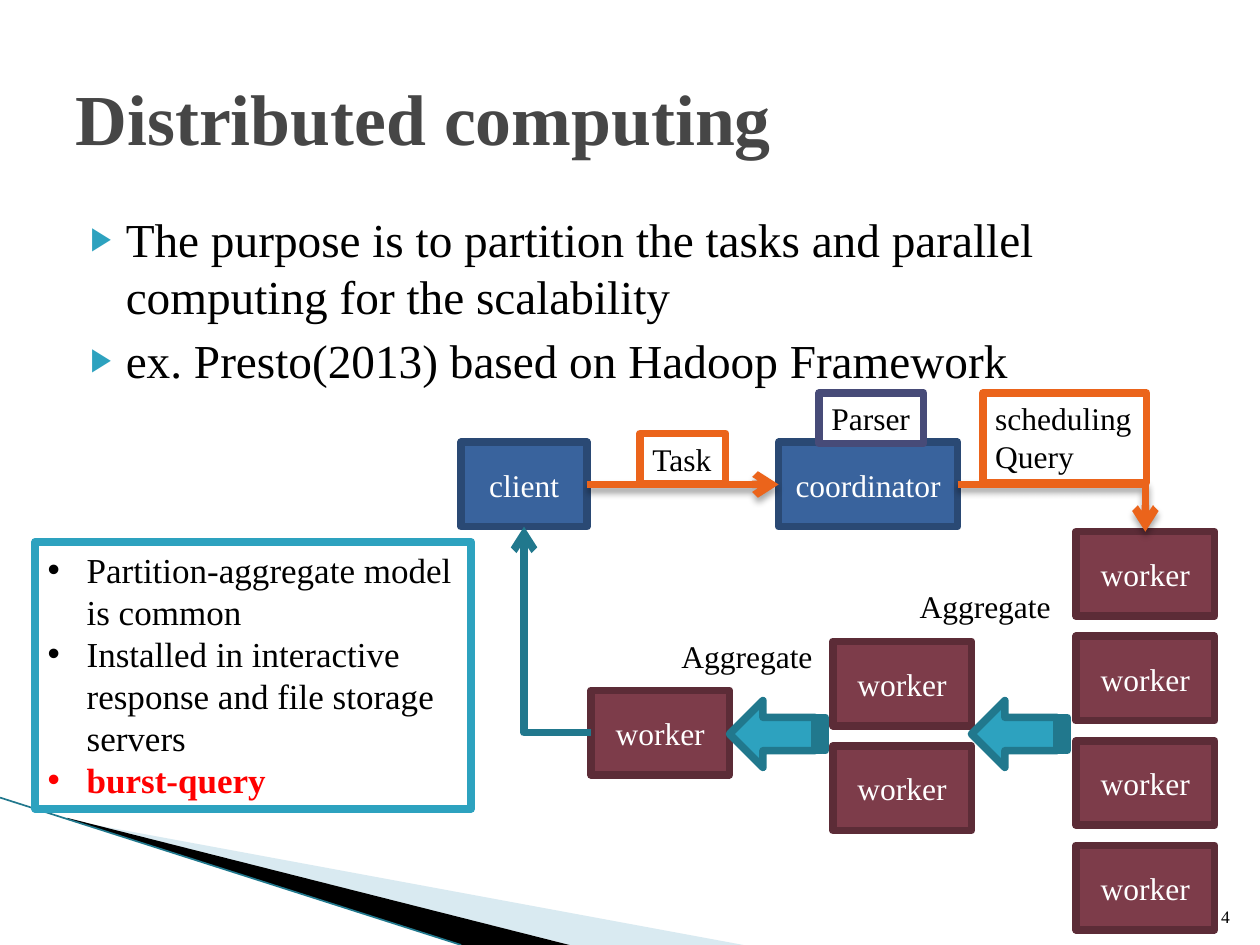
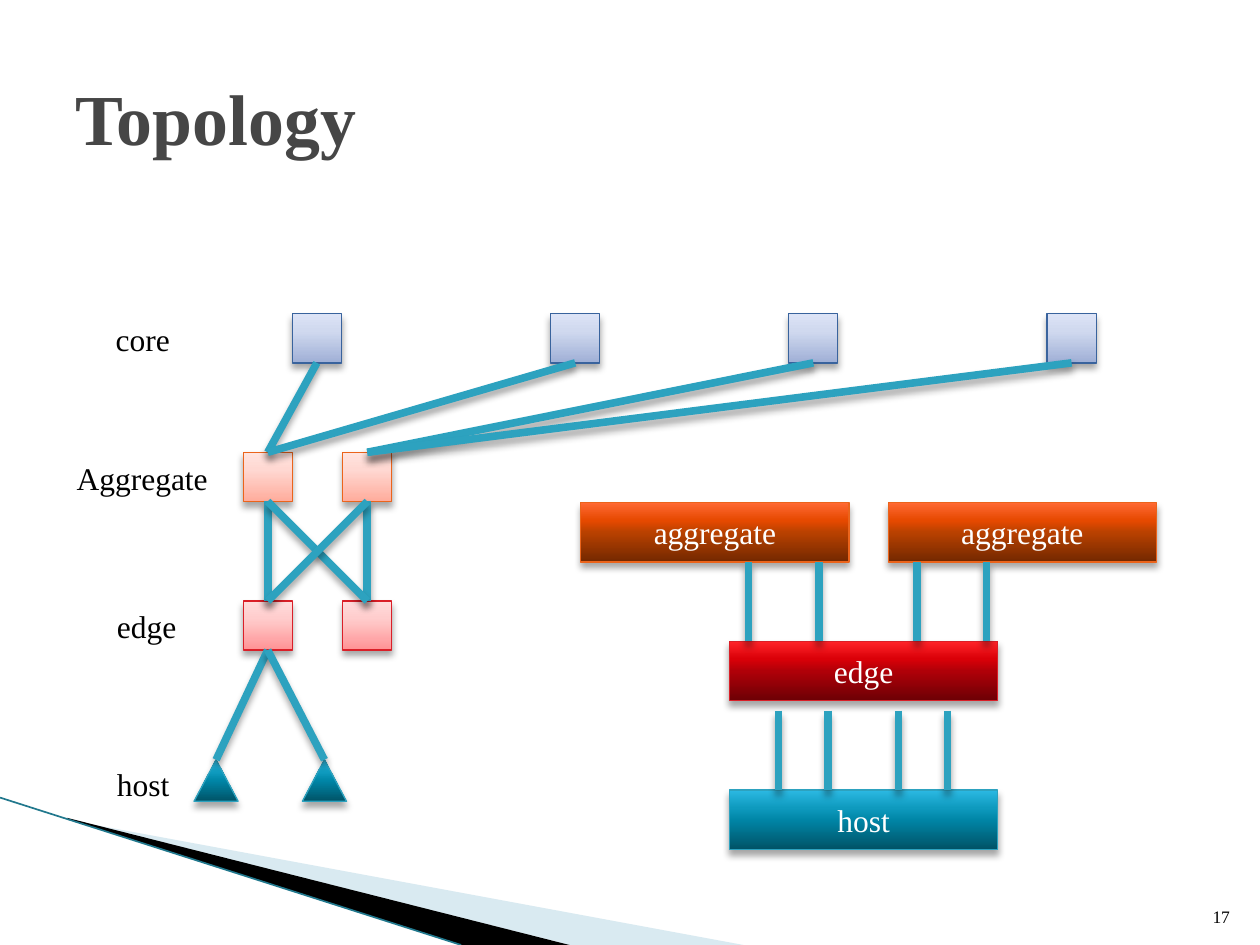
"""Build two slides: a distributed computing flow and a network topology."""
from lxml import etree
from pptx import Presentation
from pptx import util as u
from pptx.dml.color import RGBColor
from pptx.enum import shapes, text
from pptx.oxml.ns import qn

WIDTH, HEIGHT = 10, 7.5
FONT = "Times New Roman"
BLACK, WHITE, GREY, RED = "000000", "FFFFFF", "464646", "FF0000"
TEAL, DARK_TEAL, ORANGE, CRIMSON = "2DA2BF", "21788D", "EB641B", "DA1F28"
BLUE, DARK_BLUE, PURPLE = "39639D", "2A4974", "474B78"
WINE, DARK_WINE = "7D3C4A", "5C2C37"
THICK, THIN = 4.33, 0.75

BANDS = [
    ([(0.55, 6.51), (5.9, HEIGHT), (4.52, HEIGHT), (0.55, 6.5)], "A0CBDC", 40),
    ([(0.53, 6.49), (4.52, HEIGHT), (3.66, HEIGHT), (0.54, 6.5)], BLACK, 100),
]
BAND_EDGE = (0, 6.33), (3.66, HEIGHT)

PURPOSE = [
    "The purpose is to partition the tasks and parallel computing for the scalability",
    "ex. Presto(2013) based on Hadoop Framework",
]
REMARKS = [
    "Partition-aggregate model is common",
    "Installed in interactive response and file storage servers",
    "burst-query",
]
NODES = {"client": (3.66, 3.51, 1, 0.67), "coordinator": (6.18, 3.51, 1.42, 0.67)}
WORKER_STAGES = [(8.54, 4.22, 4), (6.61, 5.09, 2), (4.69, 5.48, 1)]
WORKER_SIZE, WORKER_STEP = (1.1, 0.67), 0.83
STAGE_ARROWS = [7.71, 5.79]
LABELS = [
    (["Task"], (5.08, 3.44, 0.68, 0.4), ORANGE),
    (["scheduling", "Query"], (7.8, 3.12, 1.3, 0.71), ORANGE),
    (["Parser"], (6.5, 3.12, 0.83, 0.4), PURPLE),
    (["Aggregate"], (7.2, 4.61, 1.25, 0.4), None),
    (["Aggregate"], (5.31, 5.01, 1.25, 0.4), None),
]

HOST_FILL = [(0, "005367"), (50, "0086A7"), (70, "0E9ABE"), (100, "2CB9E3")]
EDGE_FILL = [(0, "6D0005"), (50, "B00008"), (70, "DA0008"), (100, "FF2429")]
AGGREGATE_FILL = [(0, "732800"), (50, "B94100"), (70, "E64900"), (100, "FF6933")]
PALE_BLUE = [(0, "9FAFD6"), (65, "D0D9EF"), (100, "DCE3F6")]
PALE_ORANGE = [(0, "FFAC9C"), (65, "FFD8D2"), (100, "FFE4DF")]
PALE_RED = [(0, "FF9294"), (65, "FFCDCD"), (100, "FFDCDC")]

SQUARE, TRIANGLE = (0.39, 0.39), (0.35, 0.33)
TIERS = {
    "core": ((0.82, 2.49, 0.64), 2.49, [2.32, 4.37, 6.26, 8.31], SQUARE, PALE_BLUE, BLUE),
    "Aggregate": ((0.51, 3.59, 1.25), 3.59, [1.93, 2.72], SQUARE, PALE_ORANGE, ORANGE),
    "edge": ((0.83, 4.77, 0.68), 4.77, [1.93, 2.72], SQUARE, PALE_RED, CRIMSON),
    "host": ((0.83, 6.02, 0.62), 6.03, [1.54, 2.4], TRIANGLE, HOST_FILL, TEAL),
}
TIER_LINKS = [
    ("core", "Aggregate", [(0, 0), (1, 0), (2, 1), (3, 1)]),
    ("Aggregate", "edge", [(0, 0), (1, 1), (0, 1), (1, 0)]),
    ("edge", "host", [(0, 0), (0, 1)]),
]
BARS = [
    ("aggregate", 4.61, 3.99, AGGREGATE_FILL, ORANGE),
    ("aggregate", 7.05, 3.99, AGGREGATE_FILL, ORANGE),
    ("edge", 5.79, 5.09, EDGE_FILL, CRIMSON),
    ("host", 5.79, 6.27, HOST_FILL, TEAL),
]
BAR_SIZE = (2.13, 0.47)
BAR_LINKS = [
    (4.46, 5.09, [5.94, 6.5, 7.28, 7.83]),
    (5.64, 6.27, [6.18, 6.57, 7.13, 7.52]),
]


def inches(values):
    return [u.Inches(value) for value in values]


def color(value):
    return RGBColor.from_string(value)


def add_element(parent, tag, **attributes):
    element = etree.SubElement(parent, qn(tag))
    for name, value in attributes.items():
        element.set(name, str(value))
    return element


def set_effects(shape, shadowed=False):
    effects = add_element(shape._element.spPr, "a:effectLst")
    if shadowed:
        shadow = add_element(effects, "a:outerShdw", blurRad=u.Pt(4), dist=u.Pt(3),
                             dir=5400000, algn="ctr", rotWithShape=0)
        add_element(add_element(shadow, "a:srgbClr", val=BLACK), "a:alpha", val=35000)


def set_line(shape, line, width):
    if line is None:
        shape.line.fill.background()
    else:
        shape.line.color.rgb = color(line)
        shape.line.width = u.Pt(width)


def set_gradient(shape, stops):
    shape.fill.gradient()
    gradient = shape._element.spPr.find(qn("a:gradFill"))
    for child in list(gradient):
        gradient.remove(child)
    stop_list = add_element(gradient, "a:gsLst")
    for position, value in stops:
        stop = add_element(stop_list, "a:gs", pos=position * 1000)
        add_element(stop, "a:srgbClr", val=value)
    add_element(gradient, "a:lin", ang=16200000, scaled=0)


def add_bullet(paragraph, mark, margin, indent, mark_color=None, percent=100):
    properties = paragraph._p.get_or_add_pPr()
    properties.set("marL", str(u.Inches(margin)))
    properties.set("indent", str(u.Inches(indent)))
    if mark_color:
        add_element(add_element(properties, "a:buClr"), "a:srgbClr", val=mark_color)
    add_element(properties, "a:buSzPct", val=percent * 1000)
    add_element(properties, "a:buFont", typeface="Arial")
    add_element(properties, "a:buChar", char=mark)


def write(shape, lines, size=18, font_color=BLACK, bold=False, align=text.PP_ALIGN.LEFT,
          anchor=text.MSO_ANCHOR.TOP, wrap=True, bullet=None, gap=0):
    frame = shape.text_frame
    frame.text = "\n".join(lines)
    frame.word_wrap = wrap
    frame.vertical_anchor = anchor
    for index, paragraph in enumerate(frame.paragraphs):
        if bullet:
            add_bullet(paragraph, *bullet)
        paragraph.alignment = align
        if index and gap:
            paragraph.space_before = u.Pt(gap)
        for run in paragraph.runs:
            run.font.name, run.font.size, run.font.bold = FONT, u.Pt(size), bold
            run.font.color.rgb = color(font_color)


def add_text(slide, at, lines, **style):
    write(slide.shapes.add_textbox(*inches(at)), lines, **style)


def add_box(slide, kind, at, fill, line, width=THICK, shadowed=False):
    shape = slide.shapes.add_shape(kind, *inches(at))
    if isinstance(fill, list):
        set_gradient(shape, fill)
    else:
        shape.fill.solid()
        shape.fill.fore_color.rgb = color(fill)
    set_line(shape, line, width)
    set_effects(shape, shadowed)
    return shape


def write_center(shape, caption):
    write(shape, [caption], font_color=WHITE, align=text.PP_ALIGN.CENTER,
          anchor=text.MSO_ANCHOR.MIDDLE)


def add_line(slide, start=(0, 0), end=(0, 0), line=TEAL, width=THICK, shadowed=True):
    connector = slide.shapes.add_connector(shapes.MSO_CONNECTOR.STRAIGHT, *inches(start + end))
    set_line(connector, line, width)
    set_effects(connector, shadowed)
    return connector


def link(slide, source, source_side, target, target_side, line=TEAL, shadowed=True,
         arrow=False, bent=False):
    connector = add_line(slide, line=line, shadowed=shadowed)
    connector.begin_connect(source, source_side)
    connector.end_connect(target, target_side)
    properties = connector._element.spPr
    if bent:
        properties.find(qn("a:prstGeom")).set("prst", "bentConnector2")
    if arrow:
        add_element(properties.find(qn("a:ln")), "a:tailEnd", type="arrow")


def add_slide(presentation, title, number):
    slide = presentation.slides.add_slide(presentation.slide_layouts[5])
    for points, fill, opacity in BANDS:
        corners = [inches(point) for point in points]
        builder = slide.shapes.build_freeform(*corners[0])
        builder.add_line_segments(corners[1:])
        band = builder.convert_to_shape()
        band.fill.solid()
        band.fill.fore_color.rgb = color(fill)
        add_element(band._element.spPr.find(".//" + qn("a:srgbClr")), "a:alpha",
                    val=opacity * 1000)
        set_line(band, None, 0)
        set_effects(band)
    add_line(slide, *BAND_EDGE, line=DARK_TEAL, width=0.95, shadowed=False)
    heading = slide.shapes.title
    heading.left, heading.top, heading.width, heading.height = inches((0.5, 0.3, 9, 1.25))
    write(heading, [title], size=41, font_color=GREY, bold=True, anchor=text.MSO_ANCHOR.MIDDLE)
    add_text(slide, (9.46, 7.01, 0.4, 0.4), [number], size=10,
             align=text.PP_ALIGN.RIGHT, anchor=text.MSO_ANCHOR.BOTTOM)
    return slide


def build_computing(presentation):
    slide = add_slide(presentation, "Distributed computing", "4")
    add_text(slide, (0.5, 1.62, 9, 1.66), PURPOSE, size=27, gap=4,
             bullet=("▶", 0.4, -0.28, TEAL, 68))
    process = shapes.MSO_SHAPE.FLOWCHART_PROCESS
    nodes = {}
    for name, at in NODES.items():
        nodes[name] = add_box(slide, process, at, BLUE, DARK_BLUE)
        write_center(nodes[name], name)
    stages = []
    for left, top, count in WORKER_STAGES:
        stage = []
        for row in range(count):
            at = (left, top + row * WORKER_STEP, *WORKER_SIZE)
            worker = add_box(slide, process, at, WINE, DARK_WINE)
            write_center(worker, "worker")
            stage.append(worker)
        stages.append(stage)
    link(slide, nodes["coordinator"], 3, stages[0][0], 0, ORANGE, arrow=True, bent=True)
    for left in STAGE_ARROWS:
        arrow = add_box(slide, shapes.MSO_SHAPE.STRIPED_RIGHT_ARROW,
                        (left, 5.56, 0.76, 0.53), TEAL, DARK_TEAL)
        arrow.rotation = 180
    link(slide, stages[-1][0], 1, nodes["client"], 2, DARK_TEAL, False, arrow=True, bent=True)
    link(slide, nodes["client"], 3, nodes["coordinator"], 1, ORANGE, arrow=True)
    rectangle = shapes.MSO_SHAPE.RECTANGLE
    for lines, at, line in LABELS:
        write(add_box(slide, rectangle, at, WHITE, line), lines, wrap=False)
    remarks = add_box(slide, rectangle, (0.28, 4.3, 3.46, 2.12), WHITE, TEAL)
    write(remarks, REMARKS, size=20, bullet=("•", 0.31, -0.31))
    warning = remarks.text_frame.paragraphs[-1].runs[0]
    warning.font.bold = True
    warning.font.color.rgb = color(RED)


def build_topology(presentation):
    slide = add_slide(presentation, "Topology", "17")
    rectangle = shapes.MSO_SHAPE.RECTANGLE
    tiers = {}
    for name, (label, top, lefts, size, fill, line) in TIERS.items():
        add_text(slide, (*label, 0.4), [name], wrap=False)
        kind = shapes.MSO_SHAPE.ISOSCELES_TRIANGLE if size == TRIANGLE else rectangle
        tiers[name] = [add_box(slide, kind, (left, top, *size), fill, line, THIN, True)
                       for left in lefts]
    for upper, lower, pairs in TIER_LINKS:
        for above, below in pairs:
            link(slide, tiers[upper][above], 2, tiers[lower][below], 0)
    for name, left, top, fill, line in BARS:
        bar = add_box(slide, rectangle, (left, top, *BAR_SIZE), fill, line, THIN, True)
        write_center(bar, name)
    for top, bottom, columns in BAR_LINKS:
        for column in columns:
            add_line(slide, (column, top), (column, bottom))


def main():
    presentation = Presentation()
    presentation.slide_width, presentation.slide_height = inches((WIDTH, HEIGHT))
    build_computing(presentation)
    build_topology(presentation)
    presentation.save("out.pptx")


if __name__ == "__main__":
    main()
